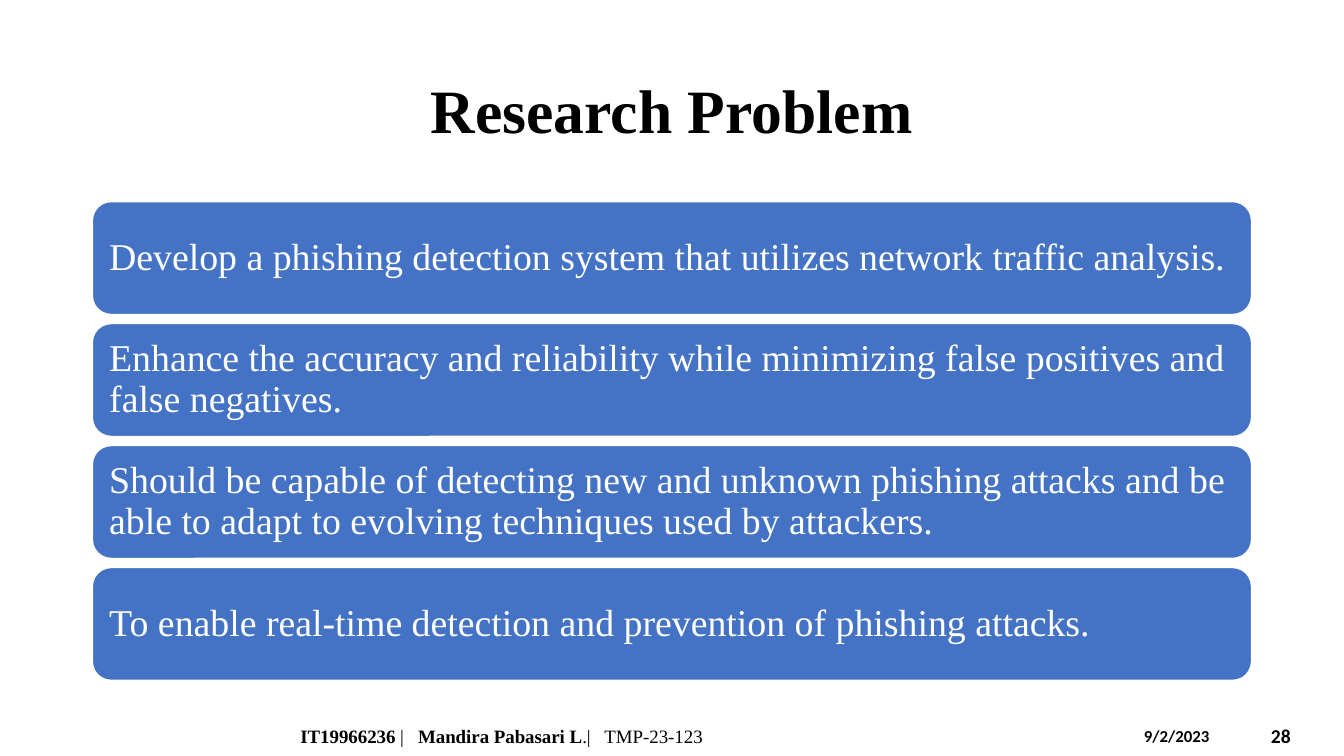
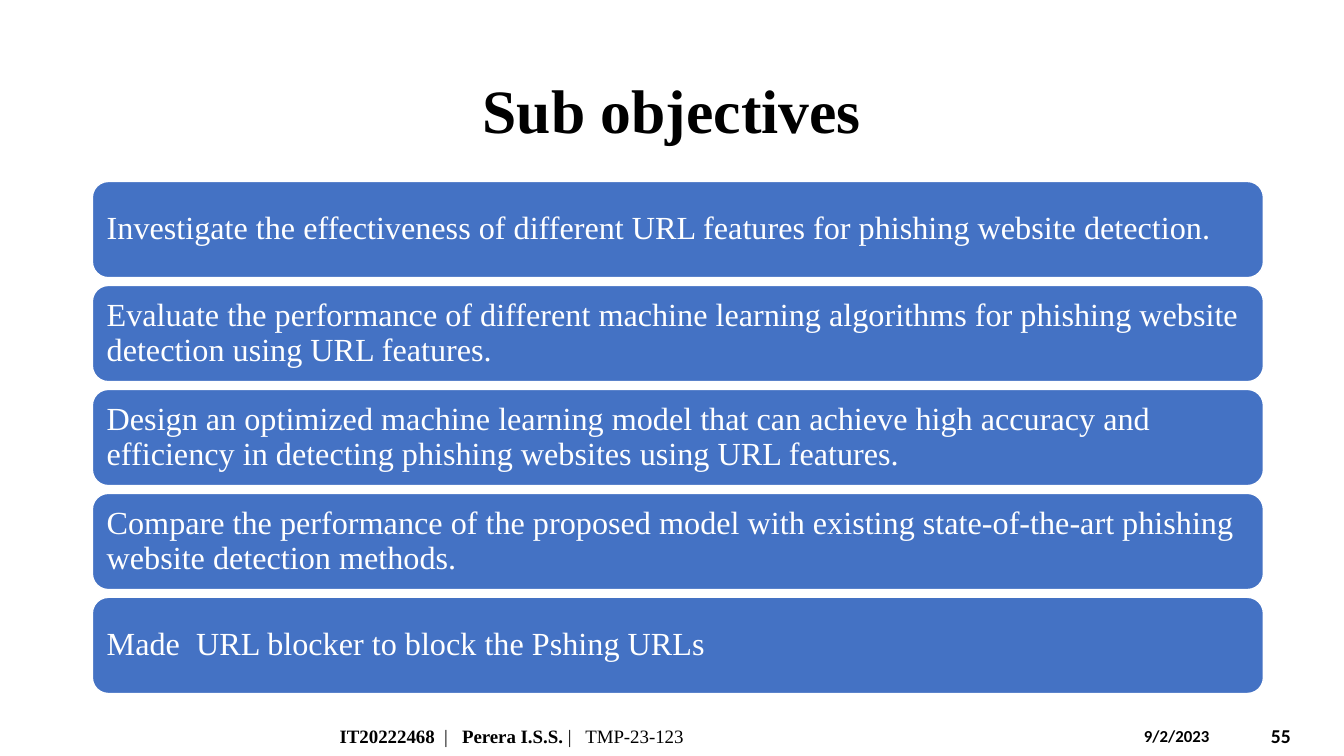
from pptx import Presentation
from pptx.dml.color import RGBColor
from pptx.enum.shapes import MSO_SHAPE
from pptx.enum.text import MSO_ANCHOR, MSO_AUTO_SIZE, PP_ALIGN
from pptx.util import Pt

BLACK, WHITE, BLUE = "000000", "FFFFFF", "4472C4"
SERIF, SANS = "Times New Roman", "Calibri"
DATE = "9/2/2023"
LEFT = 66

SLIDES = [
    dict(title="Research Problem", number="28",
         stack=dict(box=(LEFT, 144, 828, 342), size=27, items=[
             "Develop a phishing detection system that utilizes network traffic analysis.",
             "Enhance the accuracy and reliability while minimizing false positives and "
             "false negatives.",
             "Should be capable of detecting new and unknown phishing attacks and be able "
             "to adapt to evolving techniques used by attackers.",
             "To enable real-time detection and prevention of phishing attacks.",
         ]),
         author_x=207.5,
         author=[("IT19966236", True), (" |   ", False),
                 ("Mandira Pabasari L", True), (".|   TMP-23-123", False)]),
    dict(title="Sub objectives", number="55",
         stack=dict(box=(LEFT, 129.6, 836.5, 365.8), size=23, items=[
             "Investigate the effectiveness of different URL features for phishing website "
             "detection.",
             "Evaluate the performance of different machine learning algorithms for "
             "phishing website detection using URL features.",
             "Design an optimized machine learning model that can achieve high accuracy "
             "and efficiency in detecting phishing websites using URL features.",
             "Compare the performance of the proposed model with existing state-of-the-art "
             "phishing website detection methods.",
             "Made  URL blocker to block the Pshing URLs",
         ]),
         author_x=235.5,
         author=[("IT20222468", True), ("  |   ", False),
                 ("Perera I.S.S. ", True), ("|   TMP-23-123", False)]),
]


def rgb(color):
    return RGBColor.from_string(color)


def write(sp, runs, size, font=SERIF, color=BLACK, align=PP_ALIGN.LEFT,
          anchor=MSO_ANCHOR.MIDDLE, spacing=1.0, margins=(7.2, 3.6)):
    """Fill a shape with one paragraph of (text, bold) runs."""
    tf = sp.text_frame
    tf.word_wrap = True
    tf.auto_size = MSO_AUTO_SIZE.NONE
    tf.vertical_anchor = anchor
    tf.margin_left = tf.margin_right = Pt(margins[0])
    tf.margin_top = tf.margin_bottom = Pt(margins[1])
    p = tf.paragraphs[0]
    p.alignment = align
    p.line_spacing = spacing
    for text, bold in runs:
        r = p.add_run()
        r.text = text
        r.font.name = font
        r.font.size = Pt(size)
        r.font.bold = bold
        r.font.color.rgb = rgb(color)


def add_title(s, text, box):
    sp = s.shapes.title
    sp.left, sp.top, sp.width, sp.height = map(Pt, box)
    write(sp, [(text, True)], 44, align=PP_ALIGN.CENTER, spacing=0.9)


def add_stack(s, items, box, size):
    """Stack equal rounded bars; gap and margin follow the text size."""
    x, y, w, h = box
    gap, margin = 0.24 * size, 0.3 * size
    bar_h = (h - gap * (len(items) - 1)) / len(items)
    for i, item in enumerate(items):
        sp = s.shapes.add_shape(MSO_SHAPE.ROUNDED_RECTANGLE, Pt(x),
                                Pt(y + i * (bar_h + gap)), Pt(w), Pt(bar_h))
        sp.shadow.inherit = False
        sp.fill.solid()
        sp.fill.fore_color.rgb = rgb(BLUE)
        sp.line.color.rgb = rgb(WHITE)
        sp.line.width = Pt(1)
        write(sp, [(item, False)], size, color=WHITE, spacing=0.9,
              margins=(margin, margin))


def add_label(s, runs, box, size, **fmt):
    write(s.shapes.add_textbox(*map(Pt, box)), runs, size, **fmt)


def add_footer(s, author, author_x, number, top):
    add_label(s, author, (author_x, top, 536.5, 28.8), 13.5)
    add_label(s, [(DATE, True)], (810, top + 3.6, 84, 21.6), 12, font=SANS,
              anchor=MSO_ANCHOR.TOP)
    add_label(s, [(number, True)], (900.7, top, 53.3, 28.8), 14, font=SANS)


def add_slide(prs, title, stack, author, author_x, number):
    s = prs.slides.add_slide(prs.slide_layouts[5])
    add_title(s, title, (LEFT, 28.8, 828, 104.4))
    add_stack(s, **stack)
    add_footer(s, author, author_x, number, 511.2)


def main():
    prs = Presentation()
    prs.slide_width, prs.slide_height = Pt(960), Pt(540)
    for content in SLIDES:
        add_slide(prs, **content)
    prs.save("out.pptx")


if __name__ == "__main__":
    main()
